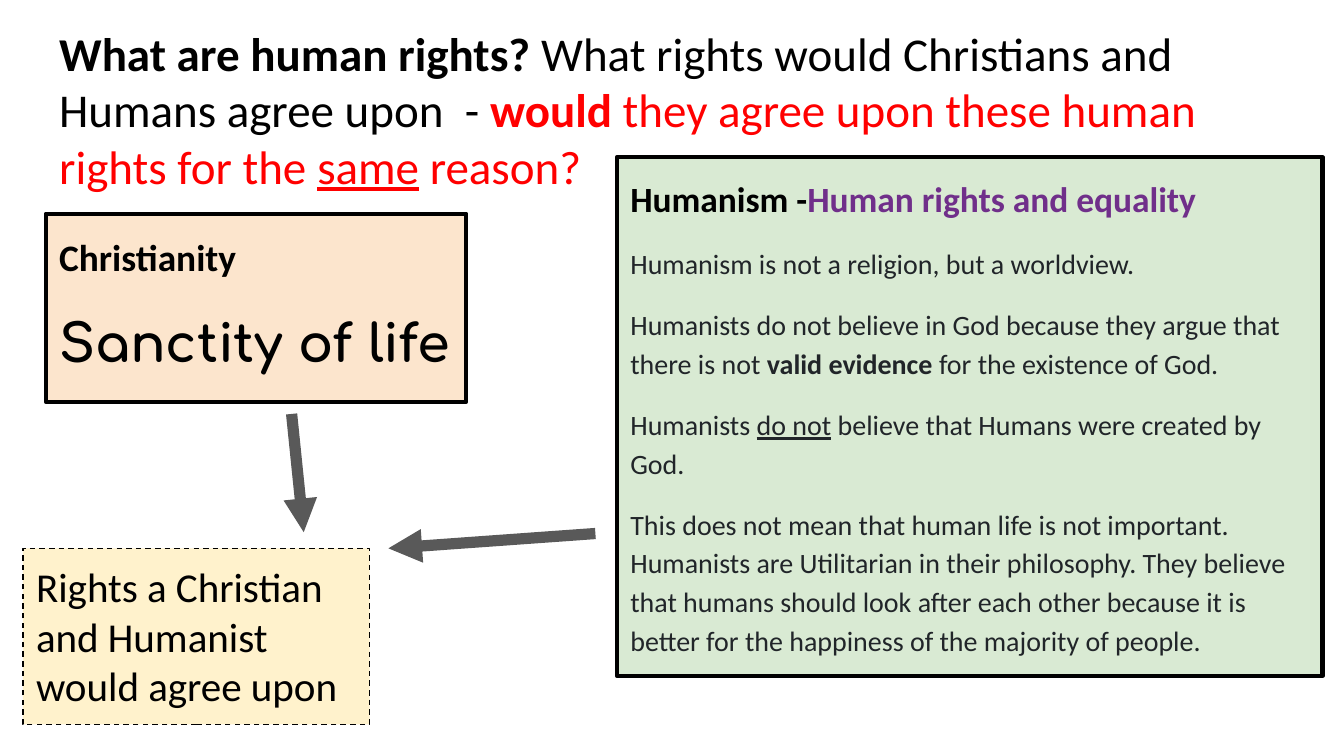
from dataclasses import dataclass

from lxml import etree
from pptx import Presentation
from pptx import util as u
from pptx.dml.color import RGBColor
from pptx.enum import dml, shapes, text
from pptx.oxml import ns


@dataclass(frozen=True)
class Theme:
    black: str = "000000"
    red: str = "FF0000"
    purple: str = "702F8A"
    ink: str = "212529"
    grey: str = "595959"
    peach: str = "FCE5CD"
    green: str = "D9EAD3"
    cream: str = "FFF2CC"
    font: str = "Calibri"
    display_font: str = "Comfortaa"
    title: float = 25.2
    christian_head: float = 20
    sanctity: float = 28
    humanist_head: float = 19
    body: float = 15
    box: float = 22
    frame: float = 2.25
    thin: float = 0.75
    arrow: float = 6


class Deck:
    """Holds the theme and the slide being filled."""

    def __init__(self, theme):
        self.t = theme
        self.prs = Presentation()
        self.prs.slide_width = u.Inches(10)
        self.prs.slide_height = u.Inches(10 * 9 / 16)
        self.s = None

    def add_slide(self):
        self.s = self.prs.slides.add_slide(self.prs.slide_layouts[3])

    def place(self, sp, box):
        sp.left, sp.top, sp.width, sp.height = map(u.Inches, box)

    def frame(self, sp, fit=text.MSO_AUTO_SIZE.NONE):
        tf = sp.text_frame
        tf.word_wrap = True
        tf.auto_size = fit
        tf.vertical_anchor = text.MSO_ANCHOR.TOP
        tf.margin_left = tf.margin_right = u.Inches(0.1)
        tf.margin_top = tf.margin_bottom = u.Inches(0.1)
        return tf

    def runs(self, p, parts, size, color=None, font=None):
        """Add (text, overrides) parts; overrides are bold, underline and color."""
        p.alignment = text.PP_ALIGN.LEFT
        for words, style in parts:
            r = p.add_run()
            r.text = words
            r.font.name = font or self.t.font
            r.font.size = u.Pt(size)
            r.font.bold = style.get("bold", False)
            r.font.underline = style.get("underline", False)
            r.font.color.rgb = RGBColor.from_string(
                style.get("color", color or self.t.black))

    def paint(self, sp, fill, width):
        sp.fill.solid()
        sp.fill.fore_color.rgb = RGBColor.from_string(fill)
        sp.line.color.rgb = RGBColor.from_string(self.t.black)
        sp.line.width = u.Pt(width)

    def title(self, box, parts):
        sp = self.s.shapes.title
        self.place(sp, box)
        self.runs(self.frame(sp).paragraphs[0], parts, self.t.title)

    def panel(self, idx, box, fill, paragraphs):
        """Fill a body placeholder; each paragraph holds the arguments of runs."""
        sp = self.s.placeholders[idx]
        self.place(sp, box)
        self.paint(sp, fill, self.t.frame)
        tf = self.frame(sp)
        for i, args in enumerate(paragraphs):
            p = tf.add_paragraph() if i else tf.paragraphs[0]
            pPr = p._p.get_or_add_pPr()
            pPr.set("marL", "0")
            pPr.set("indent", "0")
            etree.SubElement(pPr, ns.qn("a:buNone"))
            p.line_spacing = 1.15
            p.space_before = u.Pt(12 if i else 0)
            p.space_after = u.Pt(12 if i == len(paragraphs) - 1 else 0)
            self.runs(p, *args)

    def dashed_box(self, box, fill, words):
        sp = self.s.shapes.add_shape(
            shapes.MSO_SHAPE.RECTANGLE, *map(u.Inches, box))
        sp.shadow.inherit = False
        self.paint(sp, fill, self.t.thin)
        sp.line.dash_style = dml.MSO_LINE.DASH
        tf = self.frame(sp, text.MSO_AUTO_SIZE.SHAPE_TO_FIT_TEXT)
        self.runs(tf.paragraphs[0], [(words, {})], self.t.box)

    def arrow(self, start, end):
        cn = self.s.shapes.add_connector(
            shapes.MSO_CONNECTOR.STRAIGHT, *map(u.Inches, (*start, *end)))
        cn.line.color.rgb = RGBColor.from_string(self.t.grey)
        cn.line.width = u.Pt(self.t.arrow)
        ln = cn._element.spPr.find(ns.qn("a:ln"))
        etree.SubElement(ln, ns.qn("a:tailEnd"), type="triangle")
        etree.SubElement(cn._element.spPr, ns.qn("a:effectLst"))


def main():
    t = Theme()
    bold, plain = {"bold": True}, {}
    red = {"color": t.red}
    deck = Deck(t)
    deck.add_slide()

    deck.title((0.34, 0.08, 9.32, 1.4), [
        ("What are human rights?", bold),
        (" What rights would Christians and Humans agree upon  - ", plain),
        ("would", {**red, **bold}),
        (" they agree upon these human rights for the ", red),
        ("same", {**red, "underline": True}),
        (" reason?", red),
    ])

    deck.panel(1, (0.34, 1.59, 3.13, 1.4), t.peach, [
        ([("Christianity", bold)], t.christian_head),
        ([("Sanctity of life", bold)], t.sanctity, t.black, t.display_font),
    ])

    humanist_views = [
        [("Humanism is not a religion, but a worldview.", plain)],
        [("Humanists do not believe in God because they argue that there is not ", plain),
         ("valid evidence ", bold),
         ("for the existence of God.", plain)],
        [("Humanists ", plain),
         ("do not", {"underline": True}),
         (" believe that Humans were created by God.", plain)],
        [("This does not mean that human life is not important. Humanists are "
          "Utilitarian in their philosophy. They believe that humans should look "
          "after each other because it is better for the happiness of the majority "
          "of people.", plain)],
    ]
    heading = [("Humanism -", bold),
               ("Human rights and equality", {**bold, "color": t.purple})]
    deck.panel(2, (4.59, 1.17, 5.25, 3.86), t.green, [
        (heading, t.humanist_head),
        *((parts, t.body, t.ink) for parts in humanist_views),
    ])

    deck.arrow((2.17, 3.08), (2.26, 3.96))
    deck.arrow((4.43, 3.97), (2.89, 4.08))
    deck.dashed_box((0.17, 4.08, 2.58, 1.31), t.cream,
                    "Rights a Christian and Humanist would agree upon")

    deck.prs.save("out.pptx")


if __name__ == "__main__":
    main()
